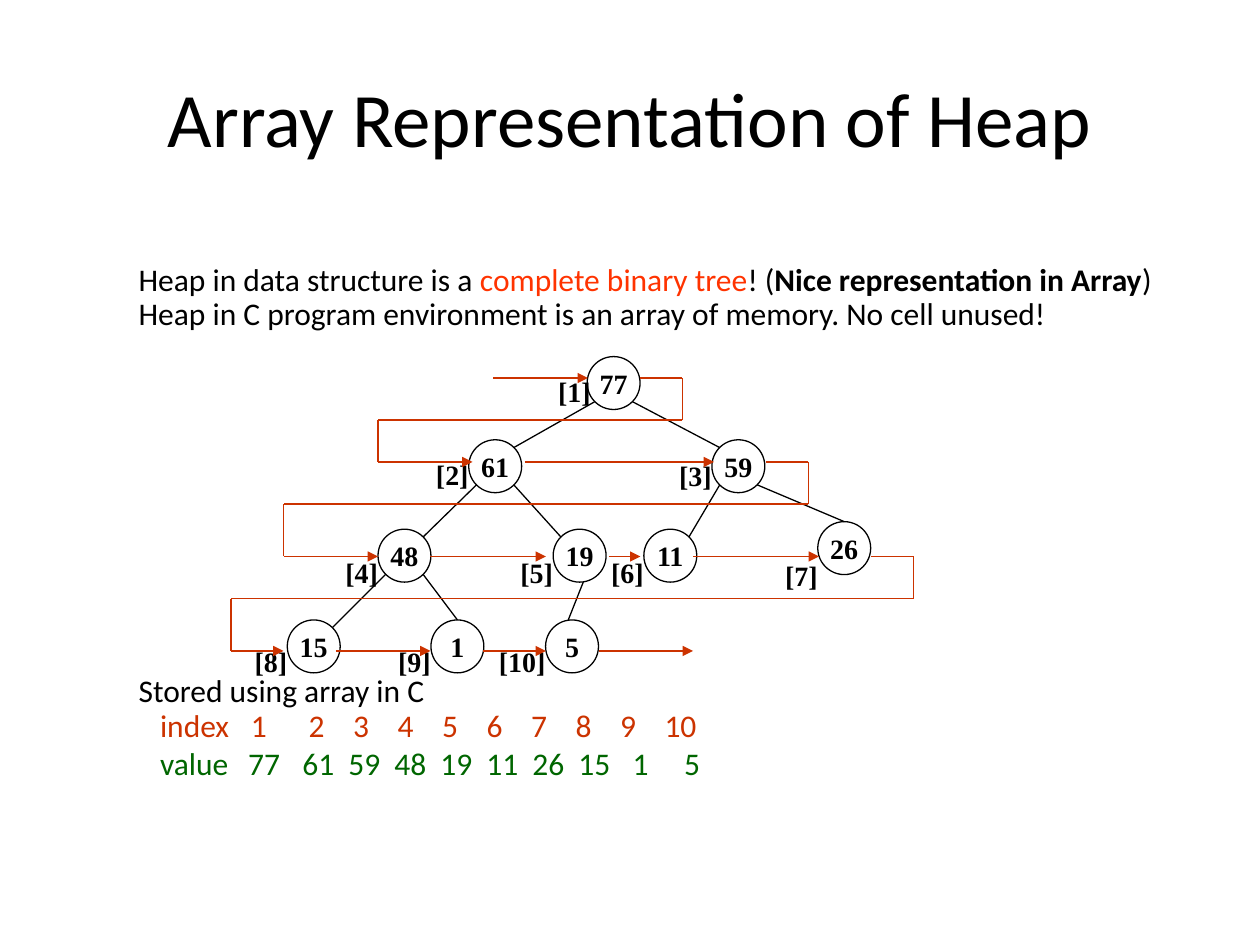
from dataclasses import dataclass
from itertools import pairwise

from lxml.etree import SubElement
from pptx import Presentation
from pptx.dml.color import RGBColor
from pptx.enum.shapes import MSO_CONNECTOR, MSO_SHAPE
from pptx.enum.text import MSO_ANCHOR, MSO_AUTO_SIZE, PP_ALIGN
from pptx.oxml.ns import qn
from pptx.util import Inches, Pt

# The slide is a grid of 120 columns by 90 rows, twelve cells to the inch
CELL = Inches(1) // 12
BLACK, RED, RUST, GREEN = "000000", "FF3300", "CC3300", "006600"
SIZE = 5.04  # node diameter in cells
Point = tuple[float, float]


@dataclass
class Node:
    value: int
    x: float
    y: float
    drop: float  # tag top below node top
    tip: Point | None = None  # where the edge from the parent ends
    foot: Point | None = None  # where the edge to a child starts
    lap: float = 1.2  # tag overlap with the node

    def spot(self, share: Point) -> Point:
        return self.x + share[0] * SIZE, self.y + share[1] * SIZE


@dataclass
class Line:
    runs: list[tuple[str, str, bool]]  # text, colour, bold
    gap: float = 4.5
    tabs: tuple[float, ...] = ()  # inches


HEAP = [
    Node(77, 55.92, 33.96, 1.1, lap=1.56),
    Node(61, 44.64, 41.88, 1.1),
    Node(59, 67.8, 41.88, 1.2),
    Node(48, 36, 50.4, 1.9),
    Node(19, 52.68, 50.4, 1.9, foot=(0.57, 1)),
    Node(11, 61.32, 50.4, 1.9),
    Node(26, 77.88, 49.68, 2.9, tip=(0.5, 0)),
    Node(15, 27.36, 59.04, 1.8),
    Node(1, 41.04, 59.04, 1.8, tip=(0.5, 0)),
    Node(5, 51.96, 59.04, 1.8, tip=(0.43, 0)),
]

# Reading order through the levels, one route per step
ROUTES = [
    [(47, 36), (56, 36)],
    [(61, 36), (65, 36), (65, 40), (36, 40), (36, 44), (45, 44)],
    [(50, 44), (68, 44)],
    [(73, 44), (77, 44), (77, 48), (27, 48), (27, 53), (36, 53)],
    [(41, 53), (52, 53)],
    [(58, 53), (61, 53)],
    [(66, 53), (78, 53)],
    [(83, 53), (87, 53), (87, 57), (22, 57), (22, 62), (27, 62)],
    [(32, 62), (41, 62)],
    [(46, 62), (52, 62)],
    [(57, 62), (66, 62)],
]


def row(name: str, items: list[int], color: str, gap: float, tabs: list[float]) -> Line:
    text = "\t" + "\t".join([name, *map(str, items)])
    return Line([(text, color, False)], gap, (0.17, *tabs))


LINES = [
    Line([("Heap in data structure is a ", BLACK, False),
          ("complete binary tree", RED, False),
          ("! (", BLACK, False),
          ("Nice representation in Array", BLACK, True),
          (")", BLACK, False)], gap=0),
    Line([("Heap in C program environment is an array of memory. No cell unused!",
           BLACK, False)]),
    Line([("Stored using array in C", BLACK, False)], gap=200.6),
    row("index", list(range(1, 11)), RUST, 4.5,
        [0.89] + [1.35 + 0.353 * k for k in range(9)]),
    row("value", [n.value for n in HEAP], GREEN, 6.7,
        [0.87] + [1.3 + 0.365 * k for k in range(7)] + [3.92, 4.33]),
]


def cells(*nums: float) -> list[int]:
    return [round(n * CELL) for n in nums]


def paint(color: str) -> RGBColor:
    return RGBColor.from_string(color)


def style(par, font: str, size: float, bold: bool = False) -> None:
    par.font.name, par.font.size, par.font.bold = font, Pt(size), bold
    par.font.color.rgb = paint(BLACK)


def label(shape, text: str) -> None:
    frame = shape.text_frame
    frame.word_wrap = False
    par = frame.paragraphs[0]
    par.text = text
    par.alignment = PP_ALIGN.CENTER
    par.space_before = Pt(4)
    style(par, "Times New Roman", 16, True)


def link(start: Point, end: Point, color: str, arrow: bool = False) -> None:
    line = shapes.add_connector(MSO_CONNECTOR.STRAIGHT, *cells(*start, *end))
    line.line.color.rgb = paint(color)
    line.line.width = Pt(0.75)
    if arrow:
        SubElement(line.line._get_or_add_ln(), qn("a:tailEnd"), type="triangle")
    SubElement(line._element.spPr, qn("a:effectLst"))


def draw_node(num: int, node: Node) -> None:
    disc = shapes.add_shape(MSO_SHAPE.OVAL, *cells(node.x, node.y, SIZE, SIZE))
    disc.shadow.inherit = False
    disc.fill.background()
    disc.line.color.rgb = paint(BLACK)
    disc.line.width = Pt(0.75)
    disc.text_frame.vertical_anchor = MSO_ANCHOR.MIDDLE
    label(disc, str(node.value))
    wide = 5.52 if num < 10 else 6.84
    tag = shapes.add_textbox(
        *cells(node.x + node.lap - wide, node.y + node.drop, wide, 4.44))
    tag.text_frame.auto_size = MSO_AUTO_SIZE.SHAPE_TO_FIT_TEXT
    label(tag, f"[{num}]")


def draw_edge(num: int) -> None:
    up, node = HEAP[num // 2 - 1], HEAP[num - 1]
    side = 0.15 if num % 2 == 0 else 0.85
    link(up.spot(up.foot or (side, 0.85)),
         node.spot(node.tip or (1 - side, 0.15)), BLACK)


def draw_title(text: str) -> None:
    frame = shapes.add_textbox(*cells(6, 3.6, 108, 15)).text_frame
    frame.word_wrap = True
    frame.vertical_anchor = MSO_ANCHOR.MIDDLE
    par = frame.paragraphs[0]
    par.text = text
    par.alignment = PP_ALIGN.CENTER
    style(par, "Calibri", 44)


def draw_body(lines: list[Line]) -> None:
    frame = shapes.add_textbox(*cells(13.2, 25.7, 99, 50)).text_frame
    frame.word_wrap = True
    frame.margin_left = frame.margin_top = 0
    for num, line in enumerate(lines):
        par = frame.add_paragraph() if num else frame.paragraphs[0]
        par.line_spacing = 0.7
        par.space_before = Pt(line.gap)
        style(par, "Calibri", 18)
        if line.tabs:
            stops = SubElement(par._p.get_or_add_pPr(), qn("a:tabLst"))
            par._p.pPr.defRPr.addprevious(stops)
            for pos in line.tabs:
                SubElement(stops, qn("a:tab"), pos=str(Inches(pos)), algn="l")
        for text, color, bold in line.runs:
            run = par.add_run()
            run.text = text
            run.font.color.rgb = paint(color)
            run.font.bold = bold


deck = Presentation()
deck.slide_width, deck.slide_height = cells(120, 90)
shapes = deck.slides.add_slide(deck.slide_layouts[6]).shapes

# Text
draw_title("Array Representation of Heap")
draw_body(LINES)

# Heap tree
for num, node in enumerate(HEAP, 1):
    draw_node(num, node)
for num in range(2, len(HEAP) + 1):
    draw_edge(num)

# Level order arrows
for route in ROUTES:
    for start, end in pairwise(route):
        link(start, end, RUST, arrow=end == route[-1])

deck.save("out.pptx")
